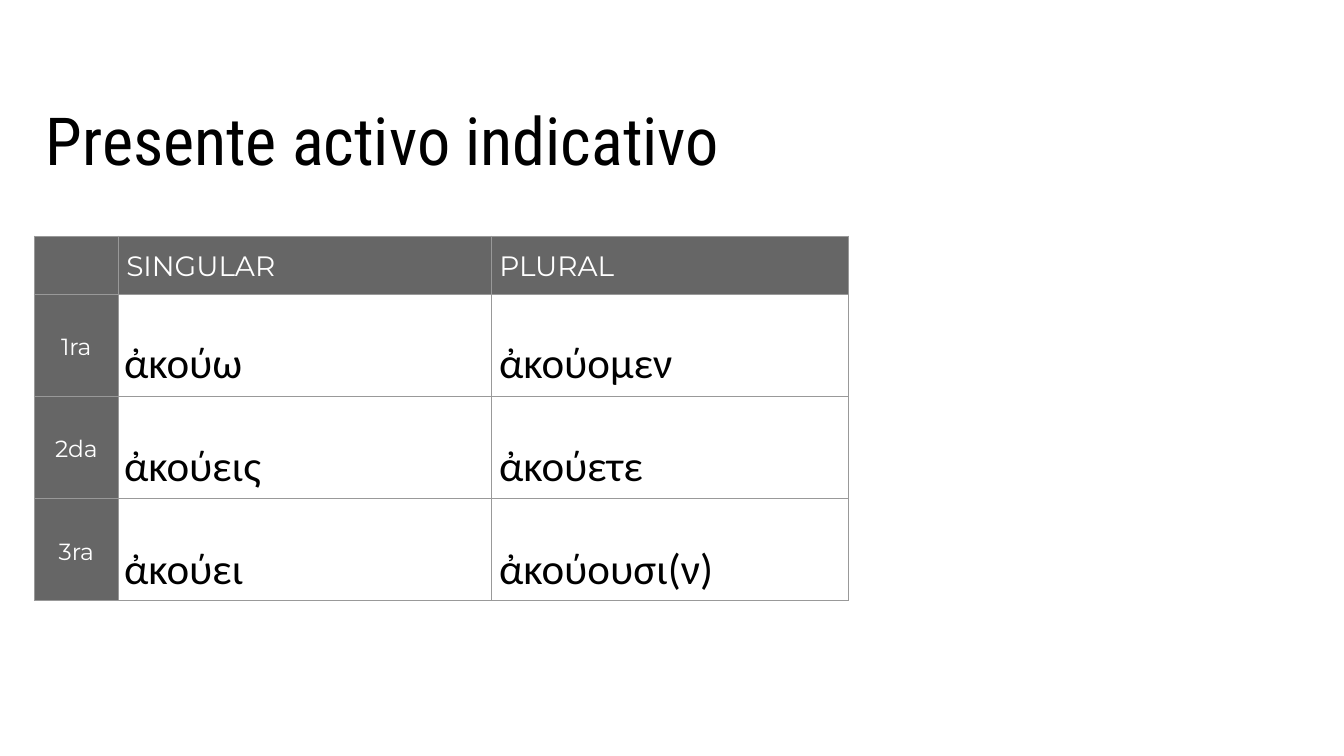
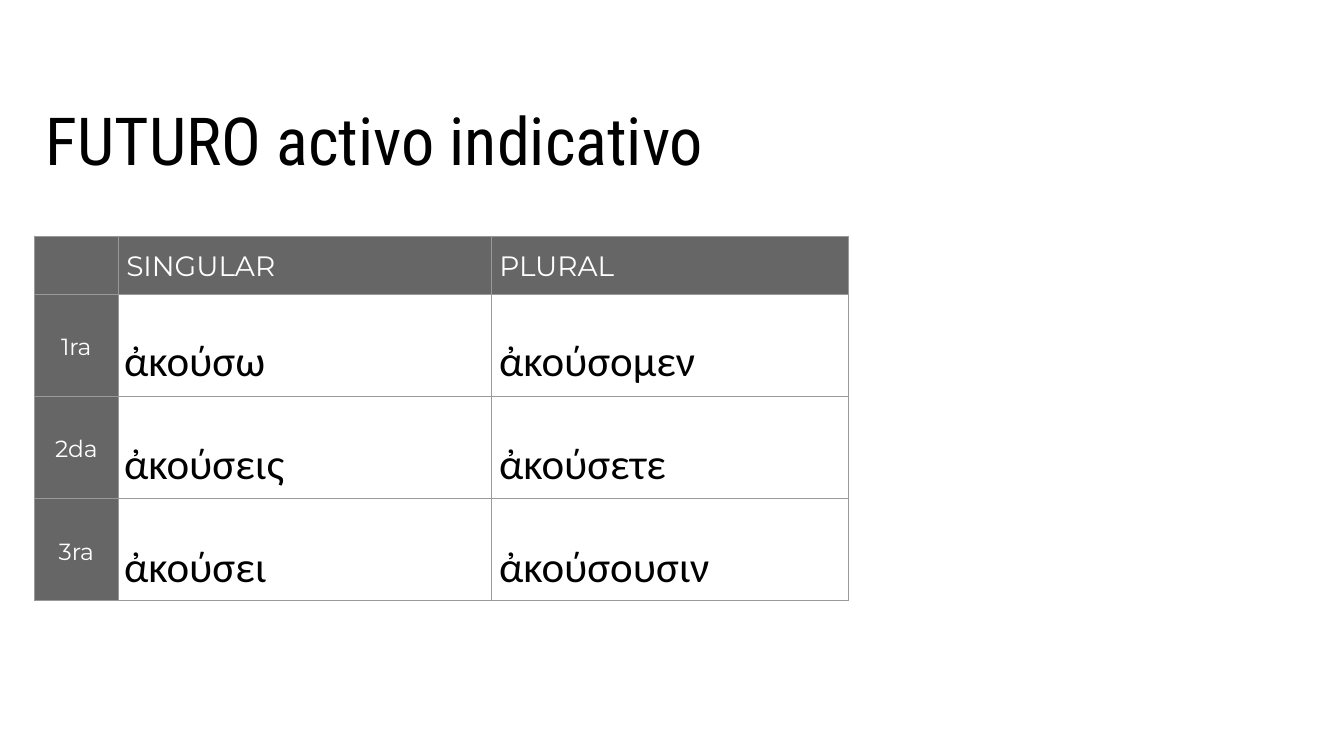
from dataclasses import dataclass

from lxml.etree import SubElement
from pptx import Presentation
from pptx.dml.color import RGBColor
from pptx.enum.text import MSO_ANCHOR, PP_ALIGN
from pptx.oxml.ns import qn
from pptx.util import Inches, Pt

SLIDES = [
    {
        "title": "Presente activo indicativo",
        "forms": [("ἀκούω", "ἀκούεις", "ἀκούει"),
                  ("ἀκούομεν", "ἀκούετε", "ἀκούουσι(ν)")],
        "widths": (4.07, 3.91),
        "forms_top": 4.13,
    },
    {
        "title": "FUTURO activo indicativo",
        "forms": [("ἀκούσω", "ἀκούσεις", "ἀκούσει"),
                  ("ἀκούσομεν", "ἀκούσετε", "ἀκούσουσιν")],
        "widths": (5.4, 5.16),
        "forms_top": 4.1,
    },
]
NUMBERS = ("SINGULAR", "PLURAL")
PERSONS = ("1ra", "2da", "3ra")

SLIDE_SIZE = (20, 11.25)
LEFT = 0.51
TITLE_PLACE = (LEFT, 1.31, 16.82, 1.17)
TABLE_TOP = 3.51
COLUMNS = (1.25, 5.55, 5.32)
ROWS = (0.87,) + (1.52,) * len(PERSONS)
FORMS_LEFT = (1.75, 7.33)
FORMS_HEIGHT = 4.63


@dataclass(frozen=True)
class Theme:
    ink: str = "000000"
    paper: str = "FFFFFF"
    band: str = "666666"
    border: str = "999999"
    title_font: str = "Roboto Condensed"
    label_font: str = "Montserrat"
    form_font: str = "Calibri"
    title_size: int = 71
    number_size: int = 30
    person_size: int = 25
    form_size: int = 46
    border_width: float = 0.75


THEME = Theme()


def style(para, font, size, color, spacing=1.0):
    para.line_spacing = spacing
    para.font.name = font
    para.font.size = Pt(size)
    para.font.color.rgb = RGBColor.from_string(color)


def add_text(page, place, lines, inset, font, size, spacing=1.0):
    box = page.shapes.add_textbox(*map(Inches, place))
    frame = box.text_frame
    frame.word_wrap = True
    frame.margin_left = frame.margin_right = Inches(inset)
    frame.margin_top = frame.margin_bottom = Inches(inset)
    frame.text = "\n".join(lines)
    for para in frame.paragraphs:
        style(para, font, size, THEME.ink, spacing)


def add_borders(cell):
    properties = cell._tc.get_or_add_tcPr()
    for position, side in enumerate(("lnL", "lnR", "lnT", "lnB")):
        line = SubElement(properties, qn(f"a:{side}"), w=str(Pt(THEME.border_width)))
        fill = SubElement(line, qn("a:solidFill"))
        SubElement(fill, qn("a:srgbClr"), val=THEME.border)
        properties.insert(position, line)


def label_cell(cell, text, size, inset):
    cell.margin_left = cell.margin_right = Inches(inset)
    cell.margin_top = cell.margin_bottom = Inches(inset)
    cell.text = text
    para = cell.text_frame.paragraphs[0]
    style(para, THEME.label_font, size, THEME.paper, 1.15)
    return para


def add_grid(page):
    table = page.shapes.add_table(
        len(ROWS), len(COLUMNS), Inches(LEFT), Inches(TABLE_TOP),
        Inches(sum(COLUMNS)), Inches(sum(ROWS))).table
    table.first_row = table.horz_banding = False
    for column, width in zip(table.columns, COLUMNS):
        column.width = Inches(width)
    for row, height in zip(table.rows, ROWS):
        row.height = Inches(height)

    for row in range(len(ROWS)):
        for column in range(len(COLUMNS)):
            cell = table.cell(row, column)
            if row == 0 or column == 0:
                cell.fill.solid()
                cell.fill.fore_color.rgb = RGBColor.from_string(THEME.band)
            else:
                cell.fill.background()
            add_borders(cell)

    for column, number in enumerate(NUMBERS, 1):
        label_cell(table.cell(0, column), number, THEME.number_size, 0.12)
    for row, person in enumerate(PERSONS, 1):
        cell = table.cell(row, 0)
        cell.vertical_anchor = MSO_ANCHOR.MIDDLE
        label_cell(cell, person, THEME.person_size, 0.1).alignment = PP_ALIGN.CENTER


def add_page(deck, content):
    page = deck.slides.add_slide(deck.slide_layouts[6])
    page.background.fill.solid()
    page.background.fill.fore_color.rgb = RGBColor.from_string(THEME.paper)
    add_grid(page)
    for left, width, forms in zip(FORMS_LEFT, content["widths"], content["forms"]):
        place = (left, content["forms_top"], width, FORMS_HEIGHT)
        add_text(page, place, forms, 0.1, THEME.form_font, THEME.form_size, 2.0)
    add_text(page, TITLE_PLACE, [content["title"]], 0.17,
             THEME.title_font, THEME.title_size)


def main():
    deck = Presentation()
    deck.slide_width, deck.slide_height = map(Inches, SLIDE_SIZE)
    for content in SLIDES:
        add_page(deck, content)
    deck.save("out.pptx")


if __name__ == "__main__":
    main()
